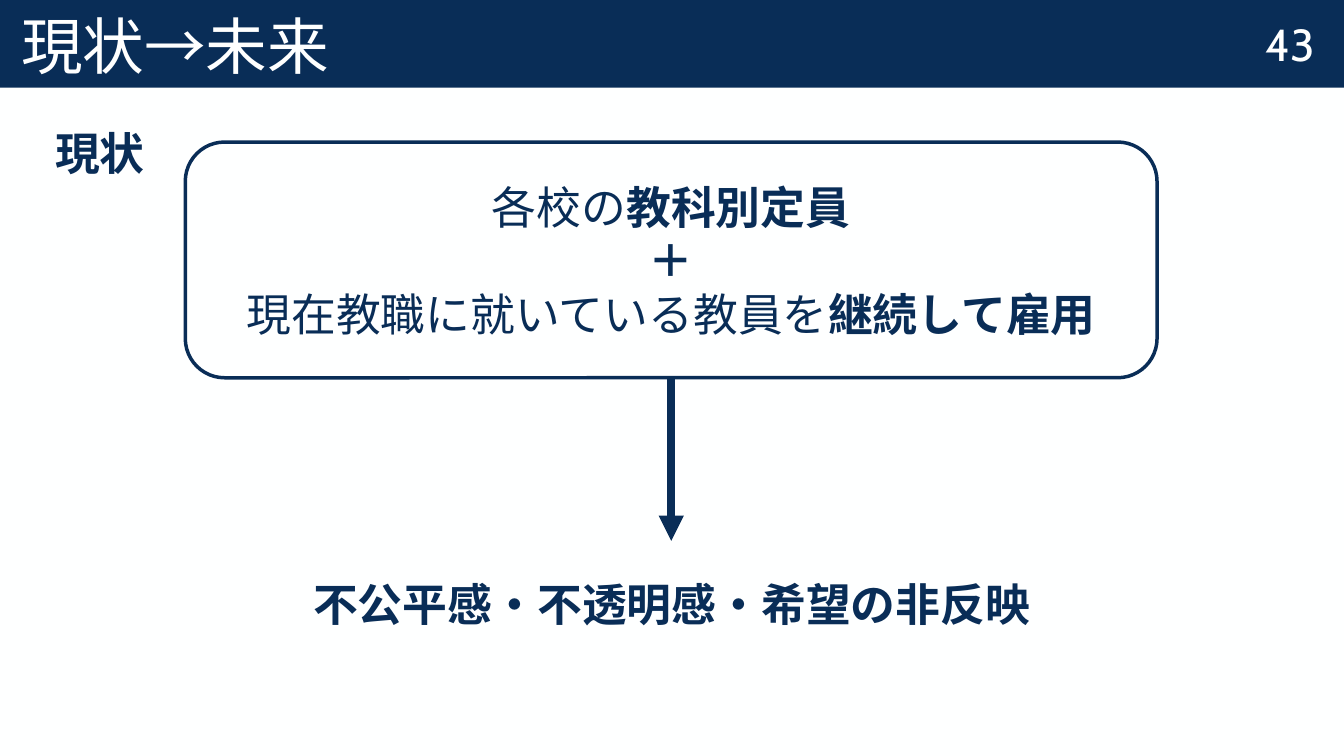
from dataclasses import dataclass

from pptx import Presentation
from pptx.dml.color import RGBColor
from pptx.enum import shapes, text
from pptx.oxml import xmlchemy
from pptx.oxml.ns import qn
from pptx.util import Cm, Pt

NAVY = "092D57"
WHITE = "FEFFFF"
FONT = "Cabin"
WIDTH, HEIGHT = 33.87, 19.05
BAR_HEIGHT = 2.21
CENTER = text.PP_ALIGN.CENTER


@dataclass
class Run:
    words: str
    bold: bool = False


@dataclass
class Label:
    left: float
    top: float
    width: float
    height: float
    run: Run
    color: str = NAVY


LABELS = [
    Label(31.19, 0, 2.64, 2.18, Run("43"), WHITE),
    Label(0.64, 3.02, 3.76, 1.63, Run("現状", True)),
    Label(0, 14.4, WIDTH, 1.63, Run("不公平感・不透明感・希望の非反映", True)),
]
SITUATION = [
    [Run("各校の"), Run("教科別定員", True)],
    [Run("＋", True)],
    [Run("現在教職に就いている教員を"), Run("継続して雇用", True)],
]


def rgb(color: str) -> RGBColor:
    return RGBColor.from_string(color)


def place(shape, left: float, top: float, width: float, height: float) -> None:
    box = {"left": left, "top": top, "width": width, "height": height}
    for name, value in box.items():
        setattr(shape, name, Cm(value))


def write(shape, lines: list[list[Run]], color: str = NAVY, size: int = 32,
          align=CENTER, anchor=text.MSO_ANCHOR.MIDDLE) -> None:
    frame = shape.text_frame
    frame_format = {"word_wrap": True, "auto_size": text.MSO_AUTO_SIZE.NONE,
                    "vertical_anchor": anchor}
    for name, value in frame_format.items():
        setattr(frame, name, value)
    for index, line in enumerate(lines):
        paragraph = frame.add_paragraph() if index else frame.paragraphs[0]
        paragraph.alignment = align
        for part in line:
            run = paragraph.add_run()
            run.text = part.words
            font_format = {"name": FONT, "size": Pt(size), "bold": part.bold}
            for name, value in font_format.items():
                setattr(run.font, name, value)
            run.font.color.rgb = rgb(color)
            east_asian = xmlchemy.OxmlElement("a:ea")
            east_asian.set("typeface", FONT)
            run.font._element.find(qn("a:latin")).addnext(east_asian)


def add_title(slide) -> None:
    title = slide.shapes.title
    place(title, 0, 0, WIDTH, BAR_HEIGHT)
    title.fill.solid()
    title.fill.fore_color.rgb = rgb(NAVY)
    write(title, [[Run("現状→未来")]], WHITE, 44,
          text.PP_ALIGN.LEFT, text.MSO_ANCHOR.BOTTOM)
    paragraph = title.text_frame.paragraphs[0]
    paragraph.line_spacing = 0.9
    paragraph._p.get_or_add_pPr().set("indent", str(Cm(0.28)))


def add_label(slide, label: Label) -> None:
    box = slide.shapes.add_textbox(
        *map(Cm, (label.left, label.top, label.width, label.height)))
    write(box, [[label.run]], label.color)


def add_situation(slide):
    shape = slide.shapes.add_shape(
        shapes.MSO_SHAPE.ROUNDED_RECTANGLE,
        Cm(4.67), Cm(3.58), Cm(24.49), Cm(5.94))
    shape.shadow.inherit = False
    shape.fill.background()
    shape.line.color.rgb = rgb(NAVY)
    shape.line.width = Pt(2.5)
    write(shape, SITUATION)
    return shape


def add_down_arrow(slide, source, length: float) -> None:
    """Draw an arrow straight down from the bottom centre of source."""
    x = source.left + source.width // 2
    y = source.top + source.height
    arrow = slide.shapes.add_connector(
        shapes.MSO_CONNECTOR.STRAIGHT, x, y, x, y + Cm(length))
    arrow.line.color.rgb = rgb(NAVY)
    arrow.line.width = Pt(6)
    head = xmlchemy.OxmlElement("a:tailEnd")
    head.set("type", "triangle")
    arrow.line._get_or_add_ln().append(head)
    arrow._element.spPr.append(xmlchemy.OxmlElement("a:effectLst"))


def main() -> None:
    presentation = Presentation()
    presentation.slide_width = Cm(WIDTH)
    presentation.slide_height = Cm(HEIGHT)
    slide = presentation.slides.add_slide(presentation.slide_layouts[5])
    slide.background.fill.solid()
    slide.background.fill.fore_color.rgb = rgb(WHITE)
    add_title(slide)
    situation = add_situation(slide)
    for label in LABELS:
        add_label(slide, label)
    add_down_arrow(slide, situation, 4.11)
    presentation.save("out.pptx")


if __name__ == "__main__":
    main()
